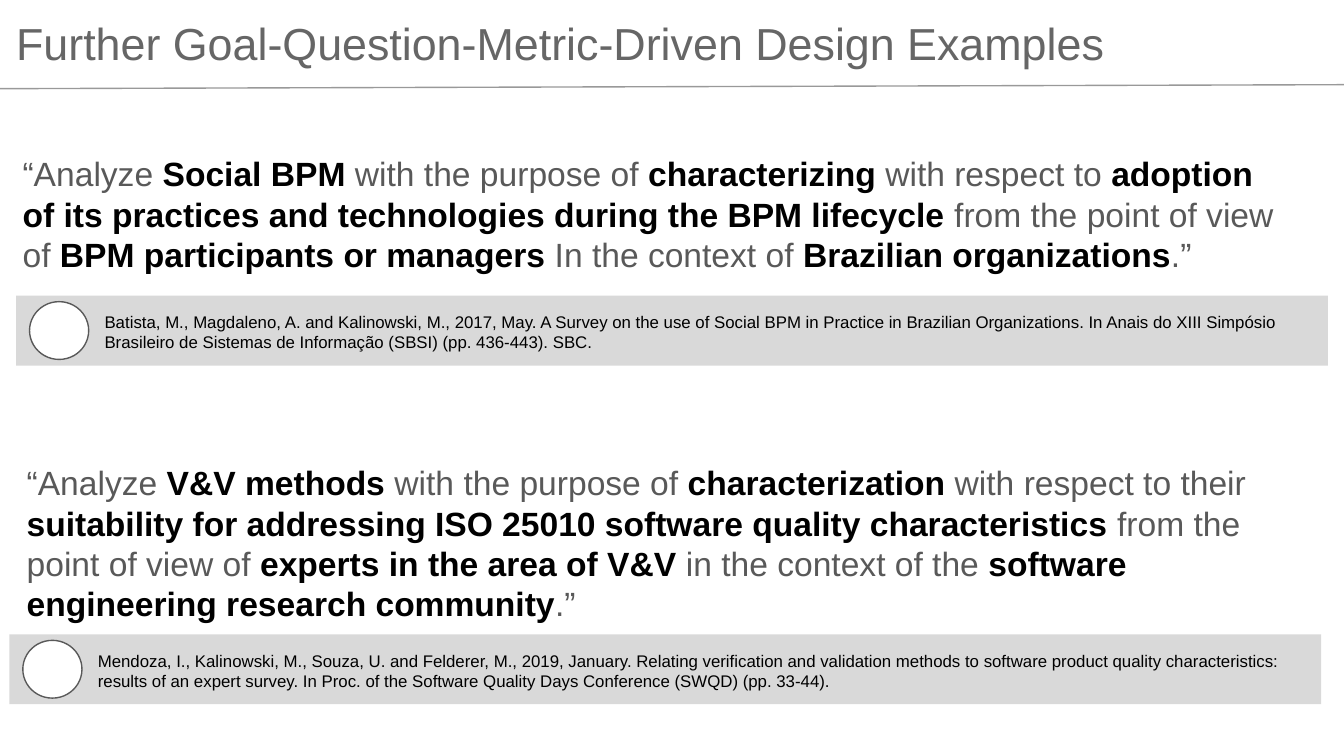
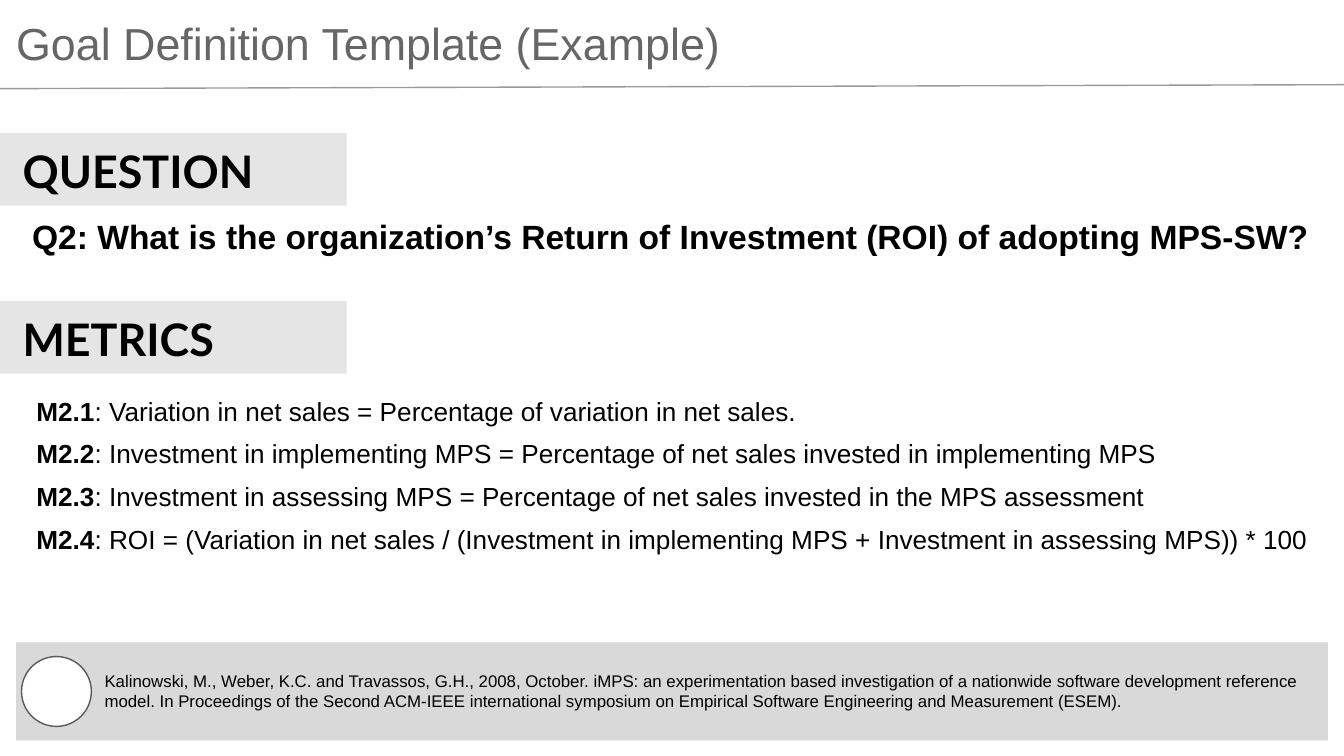
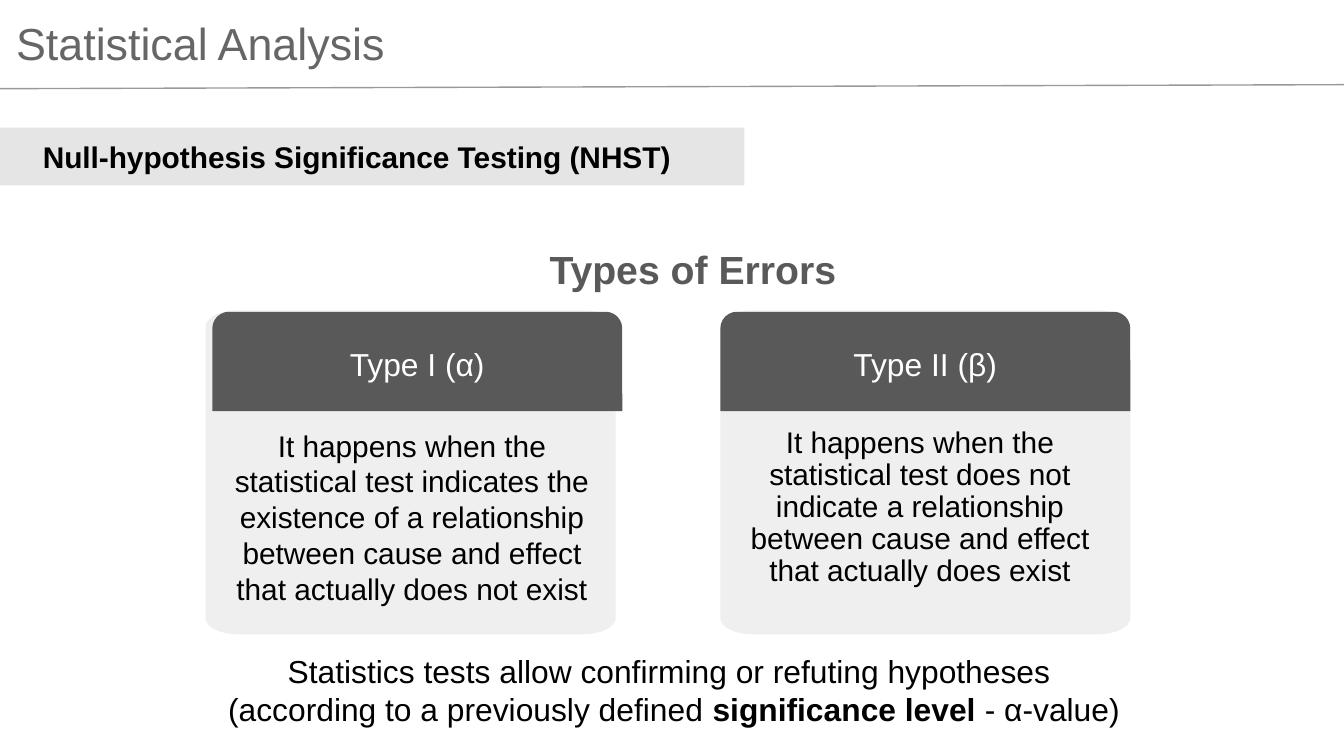
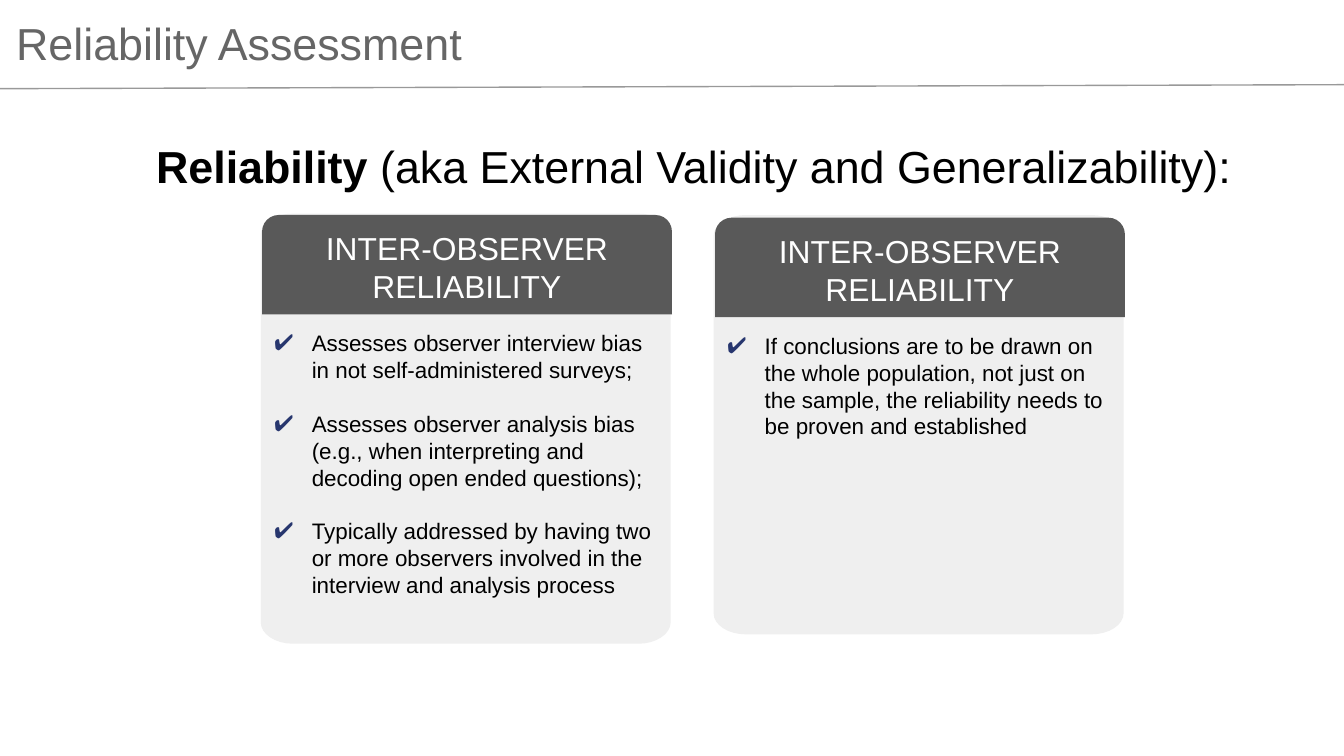
from math import cos, pi, sin

from lxml import etree
from pptx import Presentation
from pptx.dml.color import RGBColor
from pptx.enum.shapes import MSO_CONNECTOR, MSO_SHAPE
from pptx.enum.text import MSO_ANCHOR, MSO_AUTO_SIZE, PP_ALIGN
from pptx.oxml.ns import qn
from pptx.util import Inches, Pt

LEFT, CENTER = PP_ALIGN.LEFT, PP_ALIGN.CENTER
TOP, MIDDLE = MSO_ANCHOR.TOP, MSO_ANCHOR.MIDDLE
NO_AUTOFIT = MSO_AUTO_SIZE.NONE
STRAIGHT = MSO_CONNECTOR.STRAIGHT
RECTANGLE, OVAL = MSO_SHAPE.RECTANGLE, MSO_SHAPE.OVAL
ROUND_TOP = MSO_SHAPE.ROUND_2_SAME_RECTANGLE

BLACK, WHITE, DARK, TITLE_GRAY = "000000", "FFFFFF", "595959", "666666"
RULE_GRAY, SOURCE_GRAY, BAND_GRAY, CARD_GRAY = "999999", "D9D9D9", "E5E5E5", "EFEFEF"
CHECK_BLUE = "27366E"
TITLE_CONTENT, TWO_CONTENT, TITLE_ONLY = 1, 3, 5
SLIDE_WIDTH = Inches(10)
SLIDE_HEIGHT = SLIDE_WIDTH * 9 // 16
CARD_WIDTH, HEADER_HEIGHT = 3.05, 0.74

GOALS = [
    {
        "box": (0.07, 1.09, 9.6, 1.01),
        "text": "“Analyze **Social BPM** with the purpose of **characterizing** with respect to "
                "**adoption of its practices and technologies during the BPM lifecycle** from the "
                "point of view of **BPM participants or managers** In the context of "
                "**Brazilian organizations**.”",
        "bar": (0.12, 2.2),
        "source": "Batista, M., Magdaleno, A. and Kalinowski, M., 2017, May. A Survey on the use of "
                  "Social BPM in Practice in Brazilian Organizations. In Anais do XIII Simpósio "
                  "Brasileiro de Sistemas de Informação (SBSI) (pp. 436-443). SBC.",
    },
    {
        "box": (0.1, 3.39, 9.48, 1.01),
        "text": "“Analyze **V&V methods** with the purpose of **characterization** with respect to "
                "their **suitability for addressing ISO 25010 software quality characteristics** "
                "from the point of view of **experts in the area of V&V** in the context of the "
                "**software engineering research community**.”",
        "bar": (0.07, 4.72),
        "source": "Mendoza, I., Kalinowski, M., Souza, U. and Felderer, M., 2019, January. Relating "
                  "verification and validation methods to software product quality "
                  "characteristics: results of an expert survey. In Proc. of the Software Quality "
                  "Days Conference (SWQD) (pp. 33-44).",
    },
]

SECTIONS = [("QUESTION", 0.99), ("METRICS", 2.24)]
QUESTION = "**Q2: What is the organization’s Return of Investment (ROI) of adopting MPS-SW?**"
METRICS = [
    "**M2.1**: Variation in net sales = Percentage of variation in net sales.",
    "**M2.2**: Investment in implementing MPS = Percentage of net sales invested in implementing MPS",
    "**M2.3**: Investment in assessing MPS = Percentage of net sales invested in the MPS assessment",
    "**M2.4**: ROI = (Variation in net sales / (Investment in implementing MPS + Investment in "
    "assessing MPS)) * 100",
]
METRICS_SOURCE = (
    "Kalinowski, M., Weber, K.C. and Travassos, G.H., 2008, October. iMPS: an experimentation based "
    "investigation of a nationwide software development reference model. In Proceedings of the "
    "Second ACM-IEEE international symposium on Empirical Software Engineering and Measurement (ESEM)."
)

ERROR_CARDS = [
    {
        "panel": (1.53, 2.31, 2.41), "header": (1.58, 2.32), "title": "Type I (α)",
        "box": (1.54, 3.13, CARD_WIDTH, 1.69), "spacing": None,
        "text": "It happens when the statistical test indicates the existence of a relationship "
                "between cause and effect that actually does not exist",
    },
    {
        "panel": (5.36, 2.31, 2.41), "header": (5.36, 2.32), "title": "Type II (β)",
        "box": (5.32, 3.13, CARD_WIDTH, 1.31), "spacing": 0.9,
        "text": "It happens when the statistical test does not indicate a relationship between "
                "cause and effect that actually does exist",
    },
]
CONCLUSION = [
    "Statistics tests allow confirming or refuting hypotheses ",
    "(according to a previously defined **significance level **- α-value)",
]

RELIABILITY_CARDS = [
    {
        "panel": (1.94, 1.59, 3.2), "header": (1.95, 1.6), "title": "INTER-OBSERVER RELIABILITY",
        "box": (1.91, 2.4, CARD_WIDTH, 2.12),
        "items": [
            "Assesses observer interview bias in not self-administered surveys;",
            "Assesses observer analysis bias (e.g., when interpreting and decoding open ended questions);",
            "Typically addressed by having two or more observers involved in the interview and "
            "analysis process",
        ],
    },
    {
        "panel": (5.31, 1.6, 3.12), "header": (5.32, 1.62), "title": "INTER-OBSERVER RELIABILITY",
        "box": (5.28, 2.42, CARD_WIDTH, 1.09),
        "items": [
            "If conclusions are to be drawn on the whole population, not just on the sample, the "
            "reliability needs to be proven and established",
        ],
    },
]


def color(hex_string):
    return RGBColor.from_string(hex_string)


def write_text(shape, paragraphs, size, plain=BLACK, strong=BLACK, font="Arial", align=LEFT,
               anchor=TOP, spacing=None, gap=0, vertical_inset=0.05):
    frame = shape.text_frame
    frame.word_wrap = True
    frame.auto_size = NO_AUTOFIT
    frame.vertical_anchor = anchor
    frame.margin_left = frame.margin_right = Inches(0.1)
    frame.margin_top = frame.margin_bottom = Inches(vertical_inset)
    for index, text in enumerate(paragraphs):
        paragraph = frame.paragraphs[0] if index == 0 else frame.add_paragraph()
        paragraph.alignment = align
        paragraph.space_before = Pt(gap if index else 0)
        if spacing:
            paragraph.line_spacing = spacing
        for part, piece in enumerate(text.split("**")):
            if not piece:
                continue
            run = paragraph.add_run()
            run.text = piece
            run.font.name = font
            run.font.size = Pt(size)
            run.font.bold = part % 2 == 1
            run.font.color.rgb = color(strong if run.font.bold else plain)


def add_text(slide, box, paragraphs, size, **style):
    shape = slide.shapes.add_textbox(*map(Inches, box))
    write_text(shape, paragraphs, size, **style)


def place(shape, box):
    shape.left, shape.top, shape.width, shape.height = map(Inches, box)


def fill_list(placeholder, box, items, size, gap, check=False):
    tree = placeholder.element.getparent()
    tree.append(placeholder.element)
    place(placeholder, box)
    write_text(placeholder, items, size, gap=gap)
    for paragraph in placeholder.text_frame.paragraphs:
        properties = paragraph._p.get_or_add_pPr()
        properties.set("marL", str(Inches(0.31 if check else 0)))
        properties.set("indent", str(Inches(-0.28 if check else 0)))
        if check:
            bullet_color = etree.SubElement(properties, qn("a:buClr"))
            etree.SubElement(bullet_color, qn("a:srgbClr"), val=CHECK_BLUE)
            etree.SubElement(properties, qn("a:buChar"), char="✔")
        else:
            etree.SubElement(properties, qn("a:buNone"))


def paint(shape, fill, line=None):
    shape.shadow.inherit = False
    shape.fill.solid()
    shape.fill.fore_color.rgb = color(fill)
    if line:
        shape.line.color.rgb = color(line)
        shape.line.width = Pt(0.75)
    else:
        shape.line.fill.background()


def add_block(slide, kind, box, fill, line=None):
    shape = slide.shapes.add_shape(kind, *map(Inches, box))
    paint(shape, fill, line)
    return shape


def add_slide(presentation, layout, title, title_width=9.87):
    slide = presentation.slides.add_slide(presentation.slide_layouts[layout])
    place(slide.shapes.title, (0.02, 0.02, title_width, 0.61))
    write_text(slide.shapes.title, [title], 24, plain=TITLE_GRAY, vertical_inset=0.1)
    rule = slide.shapes.add_connector(STRAIGHT, *map(Inches, (-0.01, 0.66, 10.02, 0.63)))
    rule.line.color.rgb = color(RULE_GRAY)
    rule.line.width = Pt(0.75)
    etree.SubElement(rule.element.spPr, qn("a:effectLst"))
    return slide


def add_source(slide, left, top, height, text, text_offset, circle):
    add_block(slide, RECTANGLE, (left, top, 9.76, height), SOURCE_GRAY)
    add_text(slide, (left + 0.56, top + text_offset, 9.1, 0.43), [text], 9)
    circle_offset, circle_width, circle_height = circle
    circle_top = top + (height - circle_height) / 2
    add_block(slide, OVAL, (left + circle_offset, circle_top, circle_width, circle_height),
              WHITE, DARK)


def add_card(slide, card):
    left, top, height = card["panel"]
    radius_x, radius_y = 0.24, height * 0.05
    steps = 8
    points = []
    for corner, (side_x, side_y) in enumerate([(1, 1), (-1, 1), (-1, -1), (1, -1)]):
        center_x = left + CARD_WIDTH / 2 + side_x * (CARD_WIDTH / 2 - radius_x)
        center_y = top + height / 2 + side_y * (height / 2 - radius_y)
        for step in range(steps + 1):
            angle = (corner + step / steps) * pi / 2
            points.append((Inches(center_x + radius_x * cos(angle)),
                           Inches(center_y + radius_y * sin(angle))))
    builder = slide.shapes.build_freeform(*points[0])
    builder.add_line_segments(points[1:], close=True)
    paint(builder.convert_to_shape(), CARD_GRAY)
    header = add_block(slide, ROUND_TOP, (*card["header"], CARD_WIDTH, HEADER_HEIGHT), DARK)
    write_text(header, [card["title"]], 17, plain=WHITE, align=CENTER, anchor=MIDDLE,
               vertical_inset=0.1)


def build_goals(presentation):
    slide = add_slide(presentation, TITLE_ONLY,
                      "Further Goal-Question-Metric-Driven Design Examples", 9.93)
    for goal in GOALS:
        add_source(slide, *goal["bar"], 0.52, goal["source"], 0.07, (0.1, 0.44, 0.43))
        add_text(slide, goal["box"], [goal["text"]], 18, plain=DARK)


def build_metrics(presentation):
    slide = add_slide(presentation, TITLE_CONTENT, "Goal Definition Template (Example)", 5.86)
    add_source(slide, 0.12, 4.78, 0.73, METRICS_SOURCE, 0.16, (0.04, 0.52, 0.52))
    for name, top in SECTIONS:
        add_block(slide, RECTANGLE, (0, top, 2.58, 0.54), BAND_GRAY)
        add_text(slide, (0.07, top + 0.03, 2.08, 0.57), [f"**{name}**"], 24, font="Lato")
    add_text(slide, (0.14, 1.56, 9.81, 0.4), [QUESTION], 18)
    fill_list(slide.placeholders[1], (0.17, 2.89, 9.85, 2.49), METRICS, 14, gap=6)


def build_errors(presentation):
    slide = add_slide(presentation, TITLE_ONLY, "Statistical Analysis")
    add_text(slide, (3.99, 1.71, 3.18, 0.43), ["**Types of Errors**"], 21, strong=DARK, spacing=1.2)
    add_block(slide, RECTANGLE, (0, 0.95, 5.54, 0.43), BAND_GRAY)
    add_text(slide, (0.22, 0.98, 5.08, 0.32), ["**Null-hypothesis Significance Testing (NHST)**"], 16)
    for card in ERROR_CARDS:
        add_card(slide, card)
        add_text(slide, card["box"], [card["text"]], 16, align=CENTER, spacing=card["spacing"])
    add_text(slide, (1.25, 4.75, 7.53, 0.77), CONCLUSION, 17, align=CENTER, vertical_inset=0.1)


def build_reliability(presentation):
    slide = add_slide(presentation, TWO_CONTENT, "Reliability Assessment")
    for index, card in enumerate(RELIABILITY_CARDS, start=1):
        add_card(slide, card)
        fill_list(slide.placeholders[index], card["box"], card["items"], 12, gap=14.4, check=True)
    add_text(slide, (0.14, 0.98, 10.04, 0.32),
             ["**Reliability** (aka External Validity and Generalizability):"], 24, align=CENTER)


def main():
    presentation = Presentation()
    presentation.slide_width, presentation.slide_height = SLIDE_WIDTH, SLIDE_HEIGHT
    for build in (build_goals, build_metrics, build_errors, build_reliability):
        build(presentation)
    presentation.save("out.pptx")


if __name__ == "__main__":
    main()
